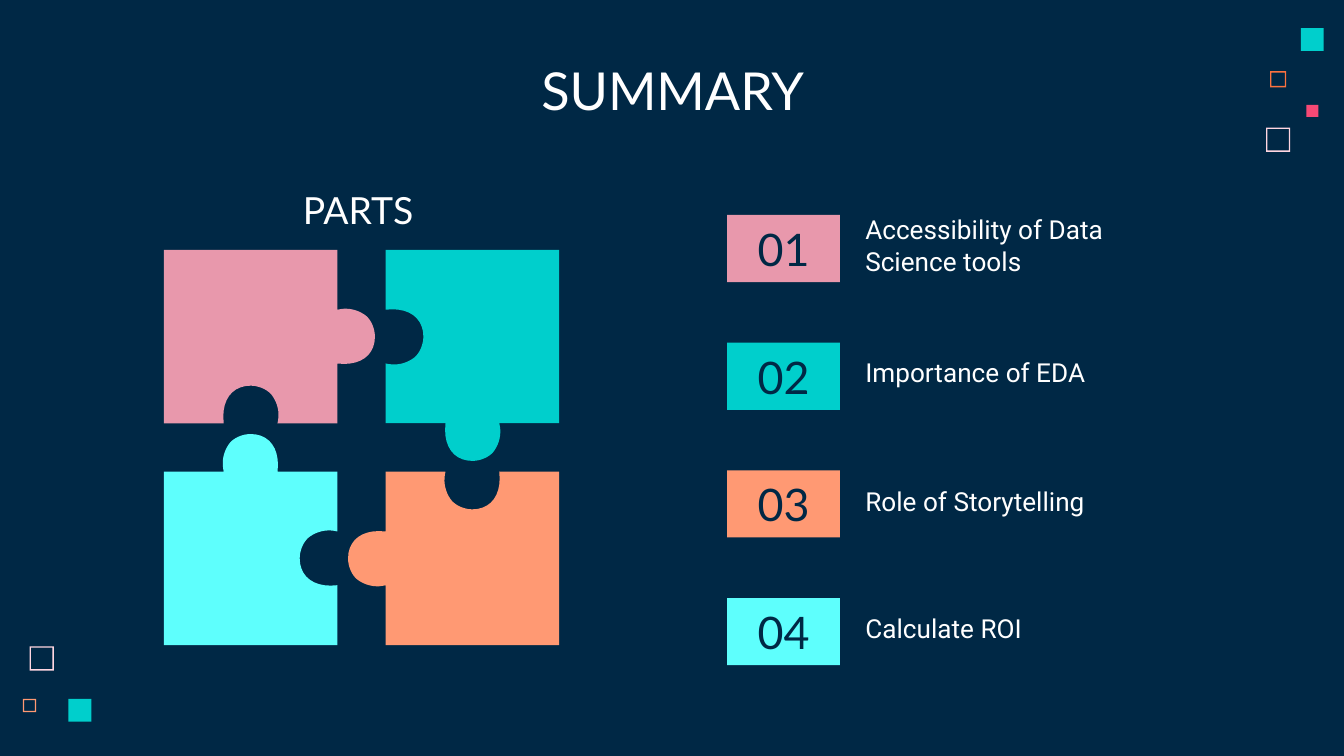
from pptx import Presentation
from pptx.dml.color import RGBColor
from pptx.enum.shapes import MSO_SHAPE
from pptx.enum.text import MSO_ANCHOR, MSO_AUTO_SIZE, PP_ALIGN
from pptx.util import Pt

PX = 9144
NAVY = RGBColor(0x00, 0x28, 0x45)
WHITE = RGBColor(0xFF, 0xFF, 0xFF)
ROSE = RGBColor(0xE8, 0x98, 0xAC)
TEAL = RGBColor(0x00, 0xCF, 0xCC)
CORAL = RGBColor(0xFF, 0x99, 0x73)
AQUA = RGBColor(0x5E, 0xFF, 0xFD)
BLUSH = RGBColor(0xFF, 0xD6, 0xE1)
ORANGE = RGBColor(0xFC, 0x72, 0x3F)
PINK = RGBColor(0xF6, 0x49, 0x75)

TAB, FLAT, SOCKET = 1, 0, -1
KNOB = [
    [(-20, 0), (-22, 8), (-20, 16), (-15, 22)],
    [(-15, 22), (-11, 26), (-5, 28), (0, 28)],
    [(0, 28), (14, 28), (22, 17), (20, 0)],
]
DIRECTIONS = [(1, 0), (0, 1), (-1, 0), (0, -1)]
PIECES = [
    (0, 0, ROSE, (FLAT, TAB, SOCKET, FLAT)),
    (1, 1, CORAL, (SOCKET, FLAT, FLAT, TAB)),
    (1, 0, TEAL, (FLAT, FLAT, TAB, SOCKET)),
    (0, 1, AQUA, (TAB, SOCKET, FLAT, FLAT)),
]
ITEMS = [
    ("Accessibility of Data Science tools", ROSE, -11),
    ("Importance of EDA", TEAL, 0),
    ("Role of Storytelling", CORAL, 1),
    ("Calculate ROI", AQUA, 1),
]
TOP_SQUARES = [
    (0, 74, 18, BLUSH, True),
    (3, 32, 12, ORANGE, True),
    (26, 0, 17, TEAL, False),
    (30, 57, 9, PINK, False),
]
BOTTOM_SQUARES = [
    (5, 0, 18, BLUSH, True),
    (0, 39, 10, CORAL, True),
    (34, 39, 17, TEAL, False),
]


def emu(*lengths):
    """Turn lengths in px into EMU."""
    return [round(length * PX) for length in lengths]


def paint(shape, color):
    """Give a shape a plain fill without line or shadow."""
    shape.fill.solid()
    shape.fill.fore_color.rgb = color
    shape.line.fill.background()
    shape.shadow.inherit = False


def write(shape, text, size, font, color, align, anchor):
    """Set one formatted paragraph in a shape."""
    frame = shape.text_frame
    frame.word_wrap = True
    frame.auto_size = MSO_AUTO_SIZE.NONE
    frame.vertical_anchor = anchor
    (frame.margin_left, frame.margin_top,
     frame.margin_right, frame.margin_bottom) = emu(10, 10, 10, 10)
    frame.text = text
    para = frame.paragraphs[0]
    para.alignment = align
    span = para.runs[0]
    span.font.size = Pt(size)
    span.font.name = font
    span.font.color.rgb = color


def add_title(page, left, top, width, height):
    """Place the slide title."""
    title = page.shapes.title
    title.left, title.top, title.width, title.height = emu(left, top, width, height)
    write(title, "SUMMARY", 28, "Lato", WHITE, PP_ALIGN.CENTER, MSO_ANCHOR.TOP)


def add_squares(page, left, top, squares):
    """Scatter solid and hollow squares in a corner."""
    for x, y, size, color, hollow in squares:
        kind = MSO_SHAPE.FRAME if hollow else MSO_SHAPE.RECTANGLE
        square = page.shapes.add_shape(kind, *emu(left + x, top + y, size, size))
        if hollow:
            square.adjustments[0] = 1 / size
        paint(square, color)


def curve_points(curve, steps=10):
    """Sample a cubic curve from its four control points."""
    for step in range(steps + 1):
        t = step / steps
        weights = ((1 - t) ** 3, 3 * t * (1 - t) ** 2, 3 * t * t * (1 - t), t ** 3)
        yield tuple(sum(w * point[axis] for w, point in zip(weights, curve))
                    for axis in (0, 1))


def piece_outline(left, top, size, edges):
    """List the points of a piece clockwise from its top left corner."""
    half = size / 2
    points = []
    for (dx, dy), edge in zip(DIRECTIONS, edges):
        side = [(-half, 0)]
        if edge != FLAT:
            side += [point for curve in KNOB for point in curve_points(curve)]
        for along, depth in side:
            out = half + depth * edge
            points.append(emu(left + half + dx * along + dy * out,
                              top + half + dy * along - dx * out))
    return points


def add_puzzle(page, left, top, size, pitch):
    """Draw the four puzzle pieces under their heading."""
    for column, row, color, edges in PIECES:
        points = piece_outline(left + column * pitch, top + row * pitch, size, edges)
        builder = page.shapes.build_freeform(*points[0], scale=1.0)
        builder.add_line_segments(points[1:], close=True)
        paint(builder.convert_to_shape(), color)
    heading = page.shapes.add_textbox(*emu(left + 33, top - 53, 223, 50))
    write(heading, "PARTS", 20, "Lato", WHITE, PP_ALIGN.CENTER, MSO_ANCHOR.BOTTOM)


def add_items(page, left, top, pitch):
    """Stack the numbered items."""
    for index, (text, color, shift) in enumerate(ITEMS):
        y = top + index * pitch
        badge = page.shapes.add_shape(MSO_SHAPE.RECTANGLE, *emu(left, y, 84, 50))
        paint(badge, color)
        write(badge, f"{index + 1:02}", 24, "Lato", NAVY,
              PP_ALIGN.CENTER, MSO_ANCHOR.MIDDLE)
        label = page.shapes.add_textbox(*emu(left + 93, y + shift, 223, 53))
        write(label, text, 14, "Roboto", WHITE, PP_ALIGN.LEFT, MSO_ANCHOR.TOP)


def main():
    """Build and save the deck."""
    deck = Presentation()
    deck.slide_width = 1000 * PX
    deck.slide_height = deck.slide_width * 9 // 16
    page = deck.slides.add_slide(deck.slide_layouts[5])
    page.background.fill.solid()
    page.background.fill.fore_color.rgb = NAVY
    add_squares(page, 942, 21, TOP_SQUARES)
    add_squares(page, 17, 481, BOTTOM_SQUARES)
    add_title(page, 79, 33, 843, 63)
    add_items(page, 541, 160, 95)
    add_puzzle(page, 122, 186, 129, 165)
    deck.save("out.pptx")


if __name__ == "__main__":
    main()
